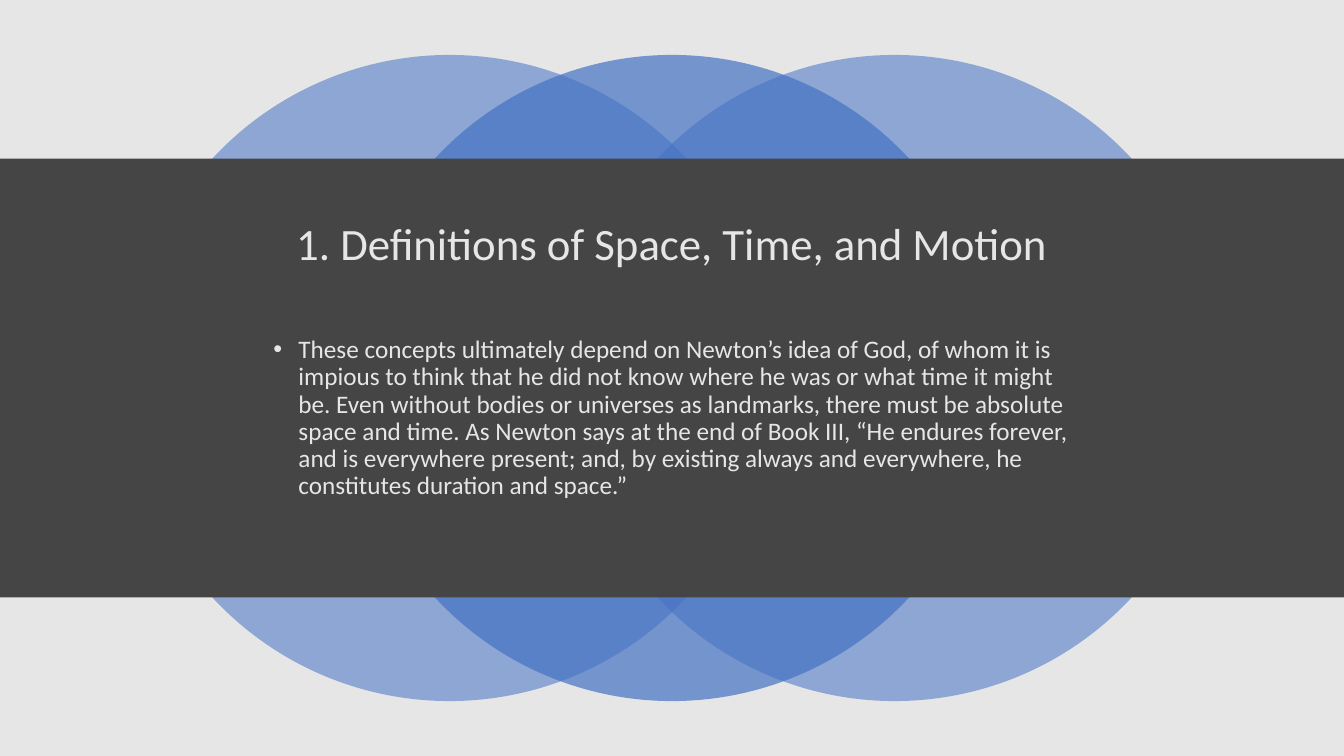
"""Build a slide with a title and a quotation on a dark band over three overlapping circles."""
from lxml import etree
from pptx import Presentation
from pptx.dml.color import RGBColor
from pptx.enum import shapes, text
from pptx.oxml.ns import qn
from pptx.util import Pt

COLORS = {"dark": "454545", "light": "E7E6E6", "blue": "4472C4"}
WIDTH, HEIGHT = 960, 540
DIAMETER, CIRCLE_TOP = 461.5, 39.25


def add_filled(kind, left, top, width, height, color, opacity=100):
    sp = slide.shapes.add_shape(kind, Pt(left), Pt(top), Pt(width), Pt(height))
    sp.shadow.inherit = False
    sp.line.fill.background()
    sp.fill.solid()
    sp.fill.fore_color.rgb = RGBColor.from_string(COLORS[color])
    if opacity < 100:
        clr = sp.fill._xPr.find(qn("a:solidFill"))[0]
        etree.SubElement(clr, qn("a:alpha"), val=str(opacity * 1000))


def fill_placeholder(sp, box, words, size, anchor):
    sp.left, sp.top, sp.width, sp.height = [Pt(v) for v in box]
    tf = sp.text_frame
    tf.text = words
    tf.word_wrap = True
    tf.auto_size = text.MSO_AUTO_SIZE.NONE
    tf.vertical_anchor = anchor
    p = tf.paragraphs[0]
    p.line_spacing = 0.9
    p.font.name = "Calibri"
    p.font.size = Pt(size)
    p.font.color.rgb = RGBColor.from_string(COLORS["light"])
    slide.shapes._spTree.append(sp._element)
    return p


prs = Presentation()
prs.slide_width, prs.slide_height = Pt(WIDTH), Pt(HEIGHT)
slide = prs.slides.add_slide(prs.slide_layouts[1])
slide.background.fill.solid()
slide.background.fill.fore_color.rgb = RGBColor.from_string(COLORS["dark"])

RECT, OVAL = shapes.MSO_SHAPE.RECTANGLE, shapes.MSO_SHAPE.OVAL
add_filled(RECT, 0, 0, WIDTH, HEIGHT, "light")
for offset, opacity in [(-159, 55), (159, 55), (0, 70)]:
    left = (WIDTH - DIAMETER) / 2 + offset
    add_filled(OVAL, left, CIRCLE_TOP, DIAMETER, DIAMETER, "blue", opacity)
add_filled(RECT, 0, 113.25, WIDTH, 313.5, "dark")

p = fill_placeholder(
    slide.shapes.title, (66, 139, 828, 73.5),
    "1. Definitions of Space, Time, and Motion", 32, text.MSO_ANCHOR.MIDDLE)
p.alignment = text.PP_ALIGN.CENTER

p = fill_placeholder(
    slide.placeholders[1], (188, 237, 584.5, 166.5),
    "These concepts ultimately depend on Newton’s idea of God, of whom it is impious "
    "to think that he did not know where he was or what time it might be. Even without "
    "bodies or universes as landmarks, there must be absolute space and time. As Newton "
    "says at the end of Book III, “He endures forever, and is everywhere present; and, "
    "by existing always and everywhere, he constitutes duration and space.”",
    18, text.MSO_ANCHOR.TOP)
p.alignment = text.PP_ALIGN.LEFT
p.space_before = Pt(10)
pPr = p._p.get_or_add_pPr()
pPr.set("marL", str(Pt(18)))
pPr.set("indent", str(-Pt(18)))

prs.save("out.pptx")
